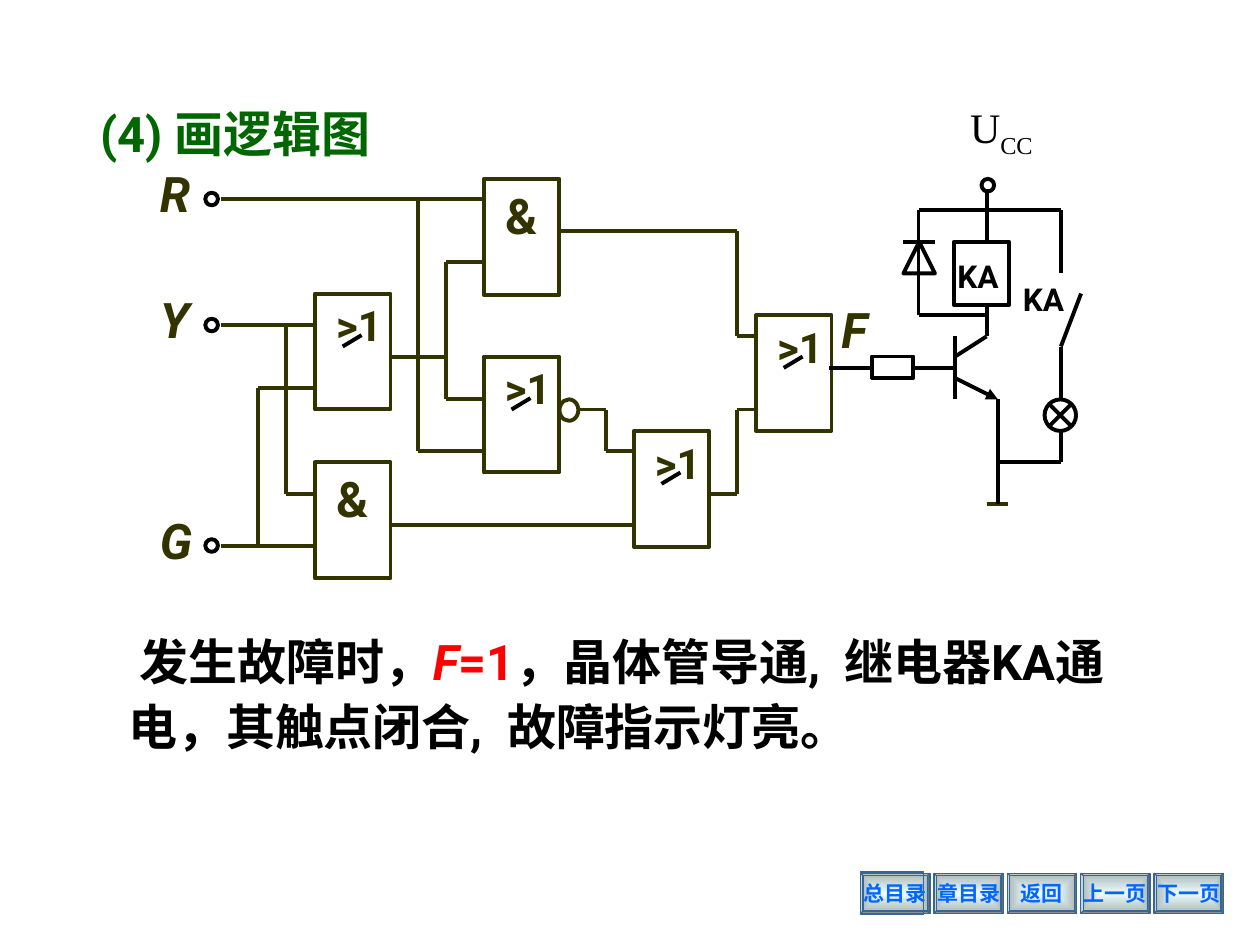
from itertools import pairwise

from lxml import etree
from pptx import Presentation
from pptx.dml.color import RGBColor
from pptx.enum import shapes, text
from pptx.oxml import ns
from pptx.util import Inches, Pt

BLACK = RGBColor(0x00, 0x00, 0x00)
OLIVE = RGBColor(0x33, 0x33, 0x00)
GREEN = RGBColor(0x00, 0x66, 0x00)
RED = RGBColor(0xFF, 0x00, 0x00)
NAV_TEXT = RGBColor(0x00, 0x66, 0xFF)
NAV_EDGE = RGBColor(0x33, 0x66, 0x99)
NAV_CENTRE = RGBColor(0xEC, 0xFD, 0xFE)
NAV_RIM = RGBColor(0xAA, 0xB6, 0xB7)
SHAPE = shapes.MSO_SHAPE
GATE_W, GATE_H = 0.6, 0.92


def add_run(p, content, size=28, color=BLACK, font="Roboto", bold=True,
            italic=False, baseline=None):
    r = p.add_run()
    r.text = content
    f = r.font
    f.name, f.size, f.bold, f.italic = font, Pt(size), bold, italic
    f.color.rgb = color
    if baseline is not None:
        f._element.set("baseline", str(baseline))


def add_text(s, x, y, w, h, content, wrap=True, spacing=None, **fmt):
    """Add a text box; content is a string or a list of (string, format)."""
    tf = s.shapes.add_textbox(Inches(x), Inches(y), Inches(w), Inches(h)).text_frame
    tf.word_wrap = wrap
    tf.auto_size = text.MSO_AUTO_SIZE.SHAPE_TO_FIT_TEXT
    p = tf.paragraphs[0]
    if spacing:
        p.line_spacing = spacing
    runs = [(content, {})] if isinstance(content, str) else content
    for part, extra in runs:
        add_run(p, part, **{**fmt, **extra})


def add_outline(s, kind, x, y, w, h, color=BLACK, width=2.25):
    sp = s.shapes.add_shape(kind, Inches(x), Inches(y), Inches(w), Inches(h))
    sp.shadow.inherit = False
    sp.fill.background()
    sp.line.color.rgb = color
    sp.line.width = Pt(width)
    return sp


def add_wire(s, x, y, *points, color=BLACK, arrow=False):
    """Join the points, given relative to (x, y), with straight lines."""
    for (x1, y1), (x2, y2) in pairwise(points):
        c = s.shapes.add_connector(
            shapes.MSO_CONNECTOR.STRAIGHT,
            Inches(x + x1), Inches(y + y1), Inches(x + x2), Inches(y + y2))
        c.line.color.rgb = color
        c.line.width = Pt(2.25)
        if arrow:
            etree.SubElement(c.line._get_or_add_ln(), ns.qn("a:tailEnd"), type="triangle")
        etree.SubElement(c._element.spPr, ns.qn("a:effectLst"))


def add_gate(s, x, y, kind):
    add_outline(s, SHAPE.RECTANGLE, x, y, GATE_W, GATE_H, OLIVE)
    if kind == "&":
        add_text(s, x + 0.07, y, 0.45, 0.57, "&", color=OLIVE)
    else:
        add_text(s, x + 0.07, y, 0.67, 0.5, ">1", size=24, color=OLIVE)
        add_wire(s, x, y, (0.37, 0.33), (0.22, 0.42))


def add_logic(s, x, y):
    gates = [(2.84, 0.42, "&"), (2.84, 1.83, "or"), (1.5, 1.33, "or"),
             (1.5, 2.67, "&"), (4.03, 2.42, "or"), (5, 1.5, "or")]
    wires = [
        [(1.05, 3.33), (1.05, 2.08), (1.5, 2.08)],
        [(1.27, 1.58), (1.27, 2.92), (1.5, 2.92)],
        [(2.32, 0.58), (2.32, 2.58), (2.84, 2.58)],
        [(2.84, 1.08), (2.54, 1.08), (2.54, 2.17), (2.84, 2.17)],
        [(2.09, 1.83), (2.54, 1.83)],
        [(2.09, 3.17), (4.03, 3.17)],
        [(3.59, 2.25), (3.81, 2.25), (3.81, 2.58), (4.03, 2.58)],
        [(4.63, 2.92), (4.85, 2.92), (4.85, 2.25), (5, 2.25)],
        [(3.44, 0.83), (4.85, 0.83), (4.85, 1.67), (5, 1.67)],
    ]
    for gx, gy, kind in gates:
        add_gate(s, x + gx, y + gy, kind)
    add_outline(s, SHAPE.OVAL, x + 3.44, y + 2.17, 0.15, 0.17, OLIVE)
    for points in wires:
        add_wire(s, x, y, *points, color=OLIVE)
    for name, row, end in (("R", 0.58, 2.84), ("Y", 1.58, 1.5), ("G", 3.33, 1.5)):
        add_text(s, x + 0.17, y + row - 0.33, 0.67, 0.57, name, color=OLIVE, italic=True)
        add_outline(s, SHAPE.OVAL, x + 0.63, y + row - 0.05, 0.1, 0.1)
        add_wire(s, x, y, (0.75, row), (end, row), color=OLIVE)
    add_text(s, x + 5.58, y + 1.33, 0.67, 0.57, "F", color=OLIVE, italic=True)


def add_relay_driver(s, x, y):
    """Transistor stage with relay coil, diode, contact and lamp."""
    parts = [
        (SHAPE.RECTANGLE, 0.42, 1.83, 0.33, 0.17),              # base resistor
        (SHAPE.RECTANGLE, 1.07, 0.92, 0.44, 0.5),               # relay coil
        (SHAPE.ISOSCELES_TRIANGLE, 0.67, 0.92, 0.25, 0.25),     # diode
        (SHAPE.OVAL, 1.29, 0.42, 0.1, 0.1),                     # supply terminal
        (SHAPE.FLOWCHART_SUMMING_JUNCTION, 1.79, 2.17, 0.25, 0.25),  # lamp
    ]
    wires = [
        [(0.08, 1.92), (0.42, 1.92)],
        [(0.75, 1.92), (1.08, 1.92)],
        [(1.08, 1.67), (1.08, 2.17)],
        [(1.08, 1.83), (1.33, 1.67), (1.33, 1.42)],
        [(1.42, 2.17), (1.42, 3)],
        [(1.33, 0.5), (1.33, 0.92)],
        [(0.67, 0.92), (0.92, 0.92)],
        [(1.34, 1.5), (0.79, 1.5), (0.79, 0.67), (1.92, 0.67), (1.92, 1.17)],
        [(2.08, 1.33), (1.92, 1.75), (1.92, 2.17)],
        [(1.92, 2.42), (1.92, 2.67), (1.42, 2.67)],
    ]
    add_wire(s, x, y, (1.33, 3), (1.5, 3), color=OLIVE)
    for kind, px, py, w, h in parts:
        add_outline(s, kind, x + px, y + py, w, h)
    for points in wires:
        add_wire(s, x, y, *points)
    add_wire(s, x, y, (1.08, 2), (1.42, 2.17), arrow=True)
    add_text(s, x + 1, y + 0.99, 0.67, 0.4, "KA", size=18)
    add_text(s, x + 1.52, y + 1.17, 0.54, 0.4, "KA", wrap=False, size=18)
    add_text(s, x + 1.1, y - 0.24, 1.02, 0.56, [("U", {}), ("CC", {"baseline": -25000})],
             size=24, font="Times New Roman", bold=False)


def add_nav_button(s, x, y, w, h, label):
    sp = add_outline(s, SHAPE.BEVEL, x, y, w, h, NAV_EDGE, 0.75)
    sp.adjustments[0] = 0.06
    sp.fill.gradient()
    for stop, color in zip(sp.fill.gradient_stops, (NAV_CENTRE, NAV_RIM)):
        stop.color.rgb = color
    grad = sp._element.spPr.find(ns.qn("a:gradFill"))
    grad.remove(grad.find(ns.qn("a:lin")))
    shade = etree.SubElement(grad, ns.qn("a:path"), path="rect")
    etree.SubElement(shade, ns.qn("a:fillToRect"),
                     {side: "50000" for side in "ltrb"})
    tf = sp.text_frame
    tf.word_wrap = False
    tf.vertical_anchor = text.MSO_ANCHOR.MIDDLE
    p = tf.paragraphs[0]
    p.alignment = text.PP_ALIGN.CENTER
    add_run(p, label, size=12, color=NAV_TEXT, font="Times New Roman")


def add_nav_bar(s, x, y, w, h):
    labels = ("总目录", "章目录", "返回", "上一页", "下一页")
    button_w = 0.55
    step = (w - button_w) / (len(labels) - 1)
    for i, label in enumerate(labels):
        add_nav_button(s, x + i * step, y, button_w, h, label)
    add_outline(s, SHAPE.RECTANGLE, x, y - 0.01, 0.5, h + 0.02, NAV_EDGE, 0.75)


def main():
    prs = Presentation()
    prs.slide_width, prs.slide_height = Inches(10), Inches(7.5)
    s = prs.slides.add_slide(prs.slide_layouts[6])
    add_nav_bar(s, 6.83, 6.93, 2.88, 0.32)
    add_text(s, 0.6, 0.77, 2.54, 0.57, " (4) 画逻辑图", wrap=False, color=GREEN)
    add_logic(s, 1, 1)
    add_relay_driver(s, 6.5, 1)
    add_text(s, 0.92, 4.92, 8, 1.13, [
        (" 发生故障时，", {}),
        ("F", {"color": RED, "italic": True}),
        ("=1", {"color": RED}),
        ("，晶体管导通,  继电器KA通电，其触点闭合,  故障指示灯亮。", {}),
    ], spacing=1.1)
    prs.save("out.pptx")


if __name__ == "__main__":
    main()
